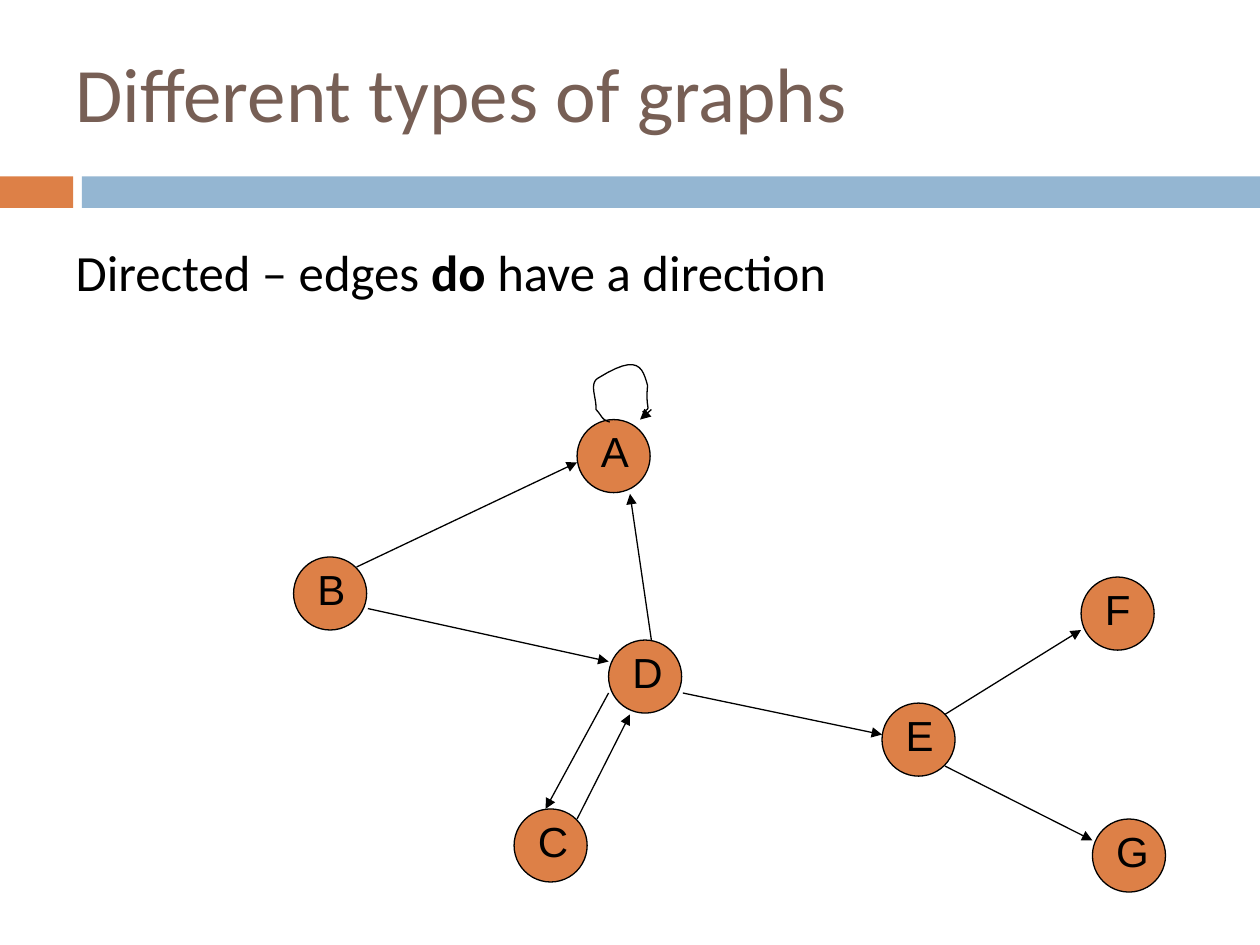
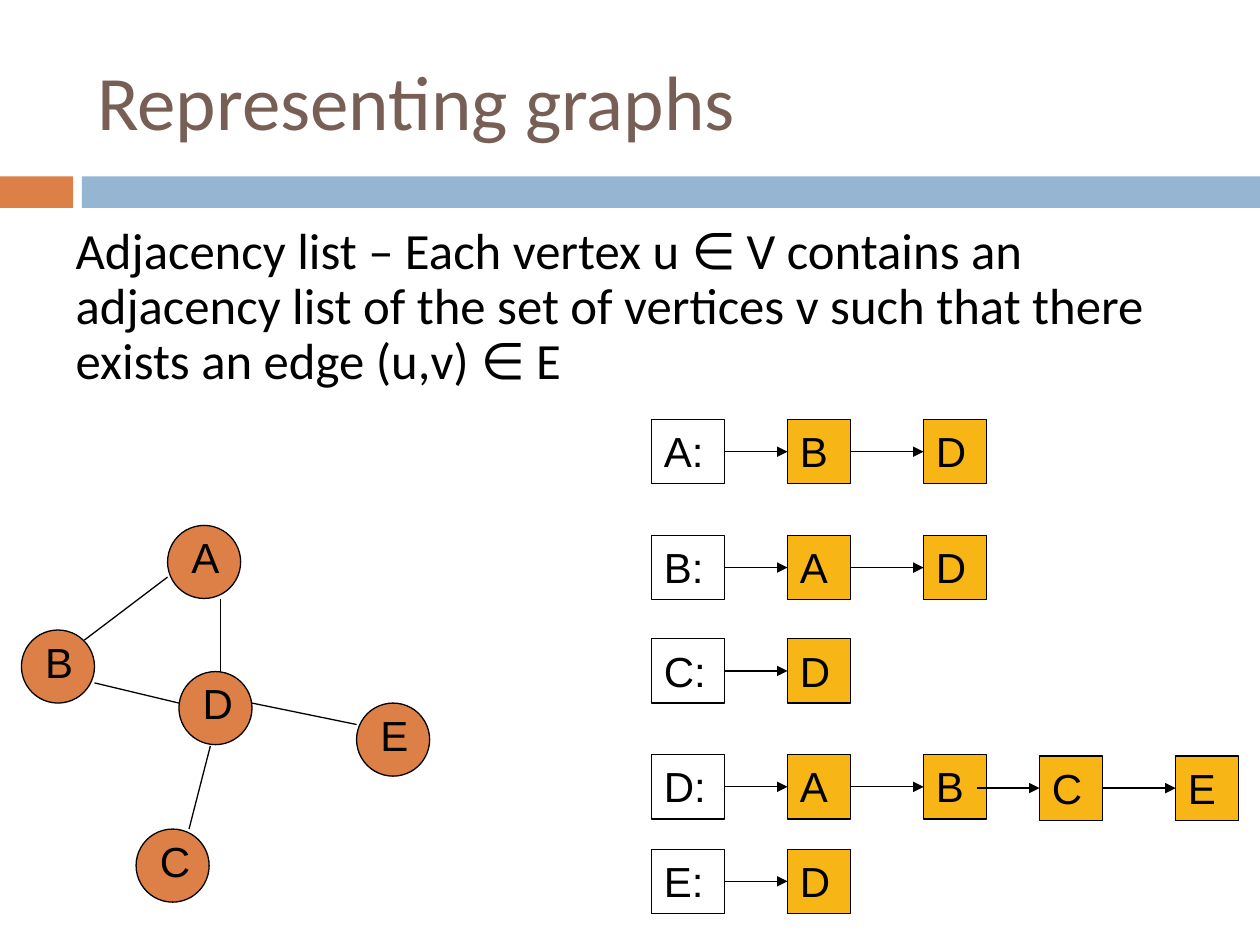
from dataclasses import dataclass
from itertools import pairwise

from lxml.etree import SubElement
from pptx import Presentation
from pptx.dml.color import RGBColor
from pptx.enum.shapes import MSO_CONNECTOR, MSO_SHAPE
from pptx.enum.text import MSO_ANCHOR, MSO_AUTO_SIZE, PP_ALIGN
from pptx.oxml.ns import qn
from pptx.util import Inches, Pt

ORANGE = "DD8047"
BLUE = "94B6D2"
BROWN = "775F55"
YELLOW = "F7B615"
BLACK = "000000"

NODE_SIZE = 0.58
LABEL_SIZE = 0.5
LABEL_SHIFT = 0.09
CELL_HEIGHT = 0.51
HEAD_LEFT, HEAD_WIDTH = 5.17, 0.58
CELL_LEFTS = (6.25, 7.33, 8.25, 9.33)
CELL_WIDTH = 0.5
LATE_CELL_DROP = 0.01  # the third and fourth cells sit slightly lower
LATE_ARROW_LEFT = 7.75  # the arrow to the third cell starts inside the second

TOP, LEFT, BOTTOM, RIGHT = range(4)

Point = tuple[float, float]
Box = tuple[float, float, float, float]


@dataclass(frozen=True)
class Node:
    label: str
    left: float
    top: float


@dataclass(frozen=True)
class Edge:
    start: Point
    end: Point


@dataclass(frozen=True)
class AdjacencyRow:
    vertex: str
    neighbours: str
    top: float


DIRECTED_NODES = [
    Node("A", 4.58, 3.33),
    Node("B", 2.33, 4.42),
    Node("C", 4.08, 6.42),
    Node("E", 7, 5.58),
    Node("D", 4.83, 5.08),
    Node("F", 8.58, 4.58),
    Node("G", 8.67, 6.5),
]
DIRECTED_EDGES = [
    Edge((2.83, 4.5), (4.58, 3.67)),
    Edge((2.92, 4.83), (4.83, 5.25)),
    Edge((5.17, 5.08), (5, 3.92)),
    Edge((4.58, 6.5), (5, 5.67)),
    Edge((5.42, 5.5), (7, 5.83)),
    Edge((7.5, 5.67), (8.58, 5)),
    Edge((7.5, 6.08), (8.67, 6.67)),
    Edge((4.83, 5.5), (4.33, 6.42)),
    Edge((5.17, 3.25), (5.08, 3.33)),
]
# Cubic curves: each end point is followed by two control points.
SELF_LOOP = [
    (4.84, 3.35), (4.77, 3.33), (4.78, 3.3),
    (4.73, 3.25), (4.74, 3.17), (4.67, 3.04),
    (4.75, 3), (5.07, 2.8), (5.1, 2.92),
    (5.14, 3.06), (5.12, 3.27), (5.18, 3.23),
    (5.1, 3.27),
]
UNDIRECTED_NODES = [
    Node("A", 1.33, 4.17),
    Node("B", 0.17, 5),
    Node("C", 1.08, 6.58),
    Node("E", 2.83, 5.58),
    Node("D", 1.42, 5.33),
]
UNDIRECTED_EDGES = [
    Edge((0.67, 5.08), (1.33, 4.58)),
    Edge((0.75, 5.42), (1.42, 5.58)),
    Edge((1.75, 5.33), (1.75, 4.75)),
    Edge((1.67, 5.92), (1.5, 6.58)),
    Edge((2, 5.58), (2.83, 5.75)),
]
ADJACENCY_ROWS = [
    AdjacencyRow("A", "BD", 3.33),
    AdjacencyRow("B", "AD", 4.25),
    AdjacencyRow("C", "D", 5.07),
    AdjacencyRow("D", "ABCE", 5.99),
    AdjacencyRow("E", "D", 6.74),
]


def color(value: str) -> RGBColor:
    return RGBColor.from_string(value)


def to_inches(values) -> list:
    return [Inches(value) for value in values]


def write_text(shape, *runs: str, font="Arial", size=24, fill=BLACK, bold_run=None,
               anchor=MSO_ANCHOR.TOP, line_spacing=None, space_before=None):
    """Write the runs as one left-aligned paragraph and return it."""
    frame = shape.text_frame
    frame.word_wrap = True
    frame.auto_size = MSO_AUTO_SIZE.NONE
    frame.vertical_anchor = anchor
    paragraph = frame.paragraphs[0]
    paragraph.alignment = PP_ALIGN.LEFT
    paragraph.line_spacing = line_spacing
    paragraph.space_before = space_before
    for text in runs:
        run = paragraph.add_run()
        run.text = text
        run.font.name = font
        run.font.size = Pt(size)
        run.font.bold = text == bold_run
        run.font.color.rgb = color(fill)
    return paragraph


def write_label(shape, text: str) -> None:
    paragraph = write_text(shape, text)
    before = SubElement(paragraph._p.get_or_add_pPr(), qn("a:spcBef"))
    SubElement(before, qn("a:spcPct"), val="50000")


def style_shape(shape, fill=None, line=None) -> None:
    shape.shadow.inherit = False
    if fill:
        shape.fill.solid()
        shape.fill.fore_color.rgb = color(fill)
    else:
        shape.fill.background()
    if line:
        shape.line.color.rgb = color(line)
        shape.line.width = Pt(0.75)
    else:
        shape.line.fill.background()


def add_box(shapes, kind, box: Box, fill=None, line=None):
    shape = shapes.add_shape(kind, *to_inches(box))
    style_shape(shape, fill, line)
    return shape


def add_edge(slide, edge: Edge, arrow: bool = False):
    connector = slide.shapes.add_connector(
        MSO_CONNECTOR.STRAIGHT, *to_inches(edge.start + edge.end))
    connector.line.color.rgb = color(BLACK)
    connector.line.width = Pt(0.75)
    if arrow:
        SubElement(connector.line._get_or_add_ln(), qn("a:tailEnd"), type="triangle")
    SubElement(connector._element.spPr, qn("a:effectLst"))
    return connector


def add_node(slide, node: Node) -> None:
    shapes = slide.shapes.add_group_shape().shapes
    add_box(shapes, MSO_SHAPE.OVAL, (node.left, node.top, NODE_SIZE, NODE_SIZE), ORANGE, BLACK)
    label = shapes.add_textbox(
        *to_inches((node.left + LABEL_SHIFT, node.top, LABEL_SIZE, LABEL_SIZE)))
    write_label(label, node.label)


def add_graph(slide, nodes: list[Node], edges: list[Edge], directed: bool) -> None:
    for node in nodes:
        add_node(slide, node)
    for edge in edges:
        add_edge(slide, edge, arrow=directed)


def add_curve(slide, points: list[Point], steps: int = 12) -> None:
    """Draw joined cubic curves as a fine open polyline."""
    vertices = []
    for first in range(0, len(points) - 1, 3):
        segment = points[first:first + 4]
        for step in range(1, steps + 1):
            t = step / steps
            weights = ((1 - t) ** 3, 3 * t * (1 - t) ** 2, 3 * t ** 2 * (1 - t), t ** 3)
            vertices.append([
                Inches(sum(weight * point[axis] for weight, point in zip(weights, segment)))
                for axis in (0, 1)])
    builder = slide.shapes.build_freeform(*to_inches(points[0]))
    builder.add_line_segments(vertices, close=False)
    style_shape(builder.convert_to_shape(), line=BLACK)


def add_cell(slide, text: str, box: Box, fill=None):
    cell = add_box(slide.shapes, MSO_SHAPE.RECTANGLE, box, fill, BLACK)
    write_label(cell, text)
    return cell


def add_adjacency_row(slide, row: AdjacencyRow) -> None:
    cells = [add_cell(slide, f"{row.vertex}:", (HEAD_LEFT, row.top, HEAD_WIDTH, CELL_HEIGHT))]
    for column, (neighbour, left) in enumerate(zip(row.neighbours, CELL_LEFTS)):
        top = row.top + (LATE_CELL_DROP if column >= 2 else 0)
        cells.append(add_cell(slide, neighbour, (left, top, CELL_WIDTH, CELL_HEIGHT), YELLOW))
    for column, (previous, following) in enumerate(pairwise(cells)):
        middle = row.top + LATE_CELL_DROP + CELL_HEIGHT / 2
        arrow = add_edge(slide, Edge((LATE_ARROW_LEFT, middle), (CELL_LEFTS[column], middle)),
                         arrow=True)
        if column != 2:
            arrow.begin_connect(previous, RIGHT)
        arrow.end_connect(following, LEFT)


def place(shape, box: Box) -> None:
    shape.left, shape.top, shape.width, shape.height = to_inches(box)


def add_base_slide(presentation, title: str, title_box: Box, body_runs: tuple[str, ...],
                   body_box: Box, **body_format):
    """Add a slide with the two bands, its title and an unbulleted body."""
    slide = presentation.slides.add_slide(presentation.slide_layouts[1])
    add_box(slide.shapes, MSO_SHAPE.RECTANGLE, (0, 1.4, 0.58, 0.25), ORANGE)
    add_box(slide.shapes, MSO_SHAPE.RECTANGLE, (0.65, 1.4, 9.35, 0.25), BLUE)
    heading, body = slide.placeholders
    place(heading, title_box)
    write_text(heading, title, font="Calibri", size=44, fill=BROWN, anchor=MSO_ANCHOR.MIDDLE)
    place(body, body_box)
    paragraph = write_text(body, *body_runs, font="Calibri", size=29, space_before=Pt(7),
                           **body_format)
    properties = paragraph._p.get_or_add_pPr()
    properties.set("marL", "0")
    properties.set("indent", "0")
    SubElement(properties, qn("a:buNone"))
    return slide


def build_directed_slide(presentation) -> None:
    slide = add_base_slide(
        presentation, "Different types of graphs", (0.5, 0.13, 8.25, 1.2),
        ("Directed – edges ", "do", " have a direction"), (0.5, 1.86, 9, 0.83), bold_run="do")
    add_graph(slide, DIRECTED_NODES, DIRECTED_EDGES, directed=True)
    add_curve(slide, SELF_LOOP)


def build_adjacency_slide(presentation) -> None:
    slide = add_base_slide(
        presentation, "Representing graphs", (0.67, 0.25, 8.92, 1.08),
        ("Adjacency list – Each vertex u ∈ V contains an adjacency list of the set of "
         "vertices v such that there exists an edge (u,v) ∈ E",),
        (0.5, 1.74, 9, 1.54), line_spacing=0.9)
    add_graph(slide, UNDIRECTED_NODES, UNDIRECTED_EDGES, directed=False)
    for row in ADJACENCY_ROWS:
        add_adjacency_row(slide, row)


def main() -> None:
    presentation = Presentation()
    presentation.slide_width, presentation.slide_height = Inches(10), Inches(7.5)
    build_directed_slide(presentation)
    build_adjacency_slide(presentation)
    presentation.save("out.pptx")


if __name__ == "__main__":
    main()
